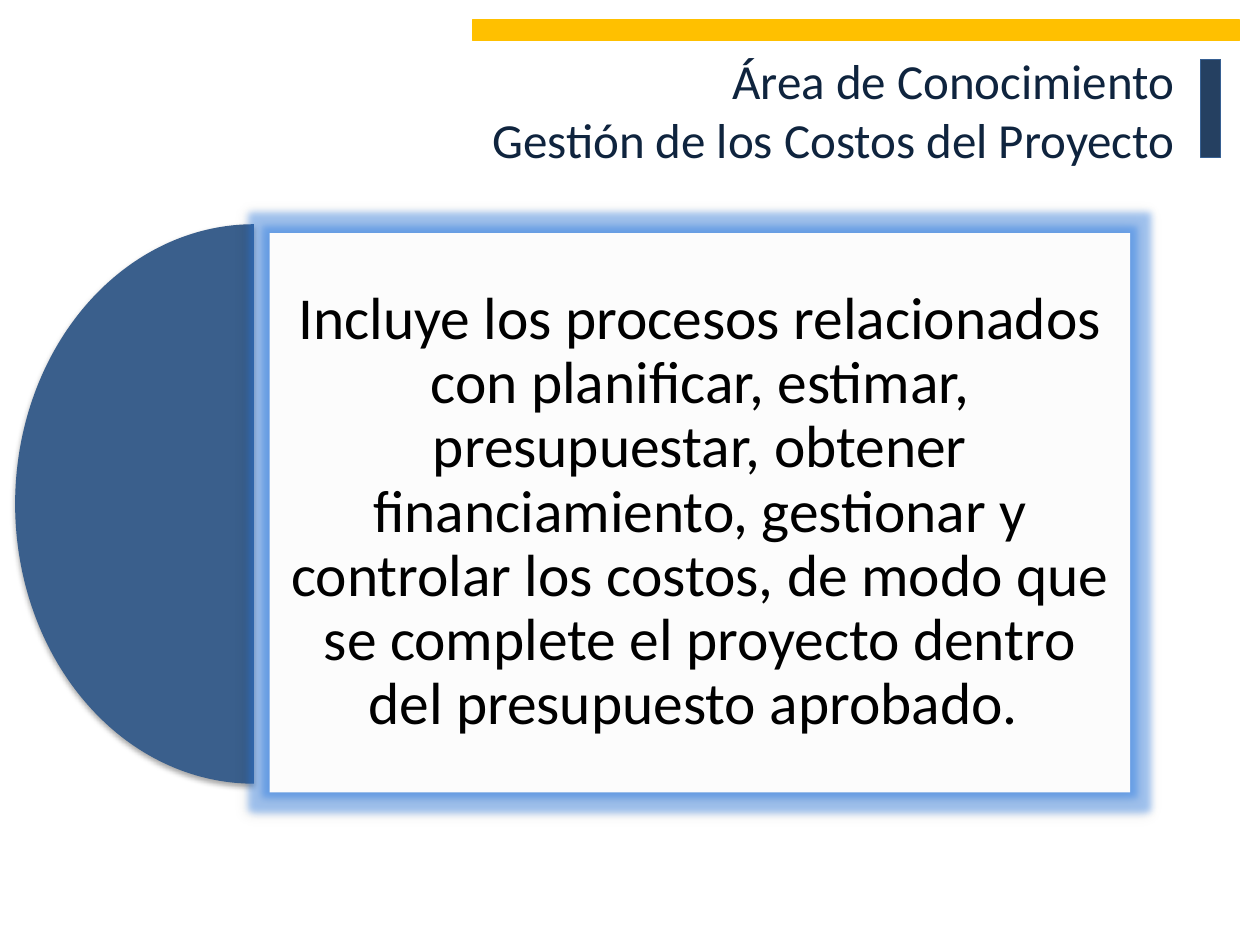
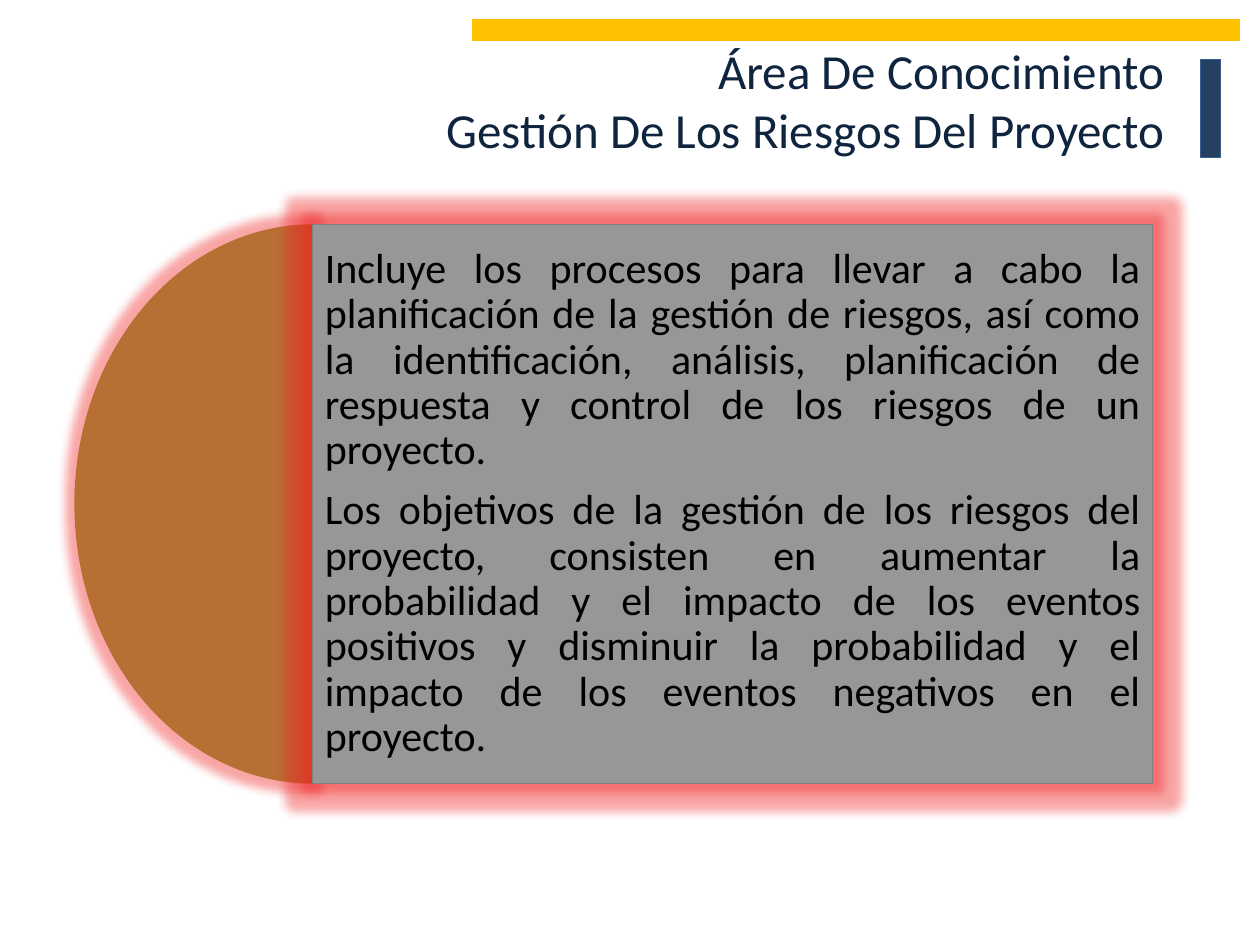
from lxml.etree import SubElement
from pptx import Presentation
from pptx.dml.color import RGBColor
from pptx.enum.shapes import MSO_SHAPE
from pptx.enum.text import MSO_ANCHOR, MSO_AUTO_SIZE, PP_ALIGN
from pptx.oxml.ns import qn
from pptx.util import Inches, Pt

FONT = "Calibri"
NAVY = RGBColor(0x25, 0x40, 0x61)
EDGE = RGBColor(0x37, 0x60, 0x92)
GOLD = RGBColor(0xFF, 0xC0, 0x00)
INK = RGBColor(0x0F, 0x24, 0x3E)
BLACK = RGBColor(0, 0, 0)
BLUE = RGBColor(0x3A, 0x5F, 0x8C)
SKY = RGBColor(0x2A, 0x7E, 0xEB)
PALE = RGBColor(0xFC, 0xFC, 0xFC)
BROWN = RGBColor(0xB7, 0x6F, 0x34)
RED = RGBColor(0xF0, 0x20, 0x20)
GRAY = RGBColor(0x97, 0x97, 0x97)
STEEL = RGBColor(0x80, 0x80, 0x80)


def add_form(slide, kind, box, fill, line=None):
    """Add a filled preset shape without shadow and return it."""
    form = slide.shapes.add_shape(kind, *[Inches(n) for n in box])
    form.shadow.inherit = False
    form.fill.solid()
    form.fill.fore_color.rgb = fill
    if line is None:
        form.line.fill.background()
    else:
        form.line.color.rgb = line
        form.line.width = Pt(0.75)
    return form


def add_effect(form, name, color, alpha, **sizes):
    """Append a glow or shadow to the effect list of a shape."""
    effects = form._element.spPr.find(qn("a:effectLst"))
    effect = SubElement(effects, qn("a:" + name))
    for key, value in sizes.items():
        effect.set(key, str(int(value)))
    tint = SubElement(effect, qn("a:srgbClr"), val=str(color))
    SubElement(tint, qn("a:alpha"), val=str(alpha * 1000))


def add_glow(form, color, size):
    """Surround a shape with a soft glow."""
    add_effect(form, "glow", color, 40, rad=Pt(size))


def add_shade(form, alpha, blur, dist, angle):
    """Cast a black outer shadow from a shape."""
    add_effect(form, "outerShdw", BLACK, alpha, blurRad=Pt(blur),
               dist=Pt(dist), dir=angle * 60000, rotWithShape=0)


def set_fonts(frame, size, color):
    """Format every run in a text frame."""
    for para in frame.paragraphs:
        for run in para.runs:
            run.font.name = FONT
            run.font.size = Pt(size)
            run.font.color.rgb = color


def add_head(deck, left, top, lines):
    """Start a slide with its bands and a right-aligned title."""
    slide = deck.slides.add_slide(deck.slide_layouts[5])
    add_form(slide, MSO_SHAPE.RECTANGLE, (9.53, 0.47, 0.16, 0.78), NAVY, EDGE)
    add_form(slide, MSO_SHAPE.RECTANGLE, (3.75, 0.16, 6.09, 0.16), GOLD, GOLD)
    title = slide.shapes.title
    title.left, title.top = Inches(left), Inches(top)
    title.width, title.height = Inches(9), Inches(1.25)
    frame = title.text_frame
    frame.text = "\v".join(lines)
    frame.auto_size = MSO_AUTO_SIZE.NONE
    frame.vertical_anchor = MSO_ANCHOR.TOP
    frame.margin_top = 0
    frame.margin_right = Inches(0.19)
    frame.paragraphs[0].alignment = PP_ALIGN.RIGHT
    set_fonts(frame, 28, INK)
    return slide


def add_half(slide, left, top, fill):
    """Add the left half disc beside a panel."""
    half = add_form(slide, MSO_SHAPE.PIE, (left, top, 3.79, 4.44), fill)
    half.adjustments[0] = 54
    half.adjustments[1] = 162
    return half


def add_panel(slide, box, fill, line, paras, size, align, inset):
    """Add a rectangle holding the body paragraphs."""
    panel = add_form(slide, MSO_SHAPE.RECTANGLE, box, fill, line)
    frame = panel.text_frame
    frame.text = "\n".join(paras)
    frame.word_wrap = True
    frame.vertical_anchor = MSO_ANCHOR.MIDDLE
    frame.margin_left = frame.margin_right = Inches(inset)
    frame.margin_top = frame.margin_bottom = Inches(inset)
    for para in frame.paragraphs:
        para.alignment = align
        para.line_spacing = 0.9
        para.space_after = Pt(size * 0.35)
    set_fonts(frame, size, BLACK)
    return panel


def add_costs(deck):
    """Build the cost management slide."""
    slide = add_head(deck, 0.51, 0.4, [
        "Área de Conocimiento", "Gestión de los Costos del Proyecto"])
    half = add_half(slide, 0.12, 1.78, BLUE)
    add_shade(half, 35, 3.1, 1.8, 90)
    panel = add_panel(slide, (2.14, 1.85, 6.83, 4.44), PALE, None, [
        "Incluye los procesos relacionados con planificar, estimar, "
        "presupuestar, obtener financiamiento, gestionar y controlar los "
        "costos, de modo que se complete el proyecto dentro del "
        "presupuesto aprobado. "], 34, PP_ALIGN.CENTER, 0.14)
    add_glow(panel, SKY, 8)
    add_shade(panel, 20, 6, 1, 135)


def add_risks(deck):
    """Build the risk management slide."""
    slide = add_head(deck, 0.43, 0.32, [
        "Área De Conocimiento", "Gestión De Los Riesgos Del Proyecto"])
    half = add_half(slide, 0.59, 1.78, BROWN)
    panel = add_panel(slide, (2.48, 1.78, 6.67, 4.44), GRAY, STEEL, [
        "Incluye los procesos para llevar a cabo la planificación de la "
        "gestión de riesgos, así como la identificación, análisis, "
        "planificación de respuesta y control de los riesgos de un proyecto.",
        "Los objetivos de la gestión de los riesgos del proyecto, consisten "
        "en aumentar la probabilidad y el impacto de los eventos positivos y "
        "disminuir la probabilidad y el impacto de los eventos negativos en "
        "el proyecto. "], 24, PP_ALIGN.JUSTIFY, 0.1)
    for form in (half, panel):
        add_glow(form, RED, 11)


deck = Presentation()
deck.slide_width, deck.slide_height = Inches(10), Inches(7.5)
add_costs(deck)
add_risks(deck)
deck.save("out.pptx")
